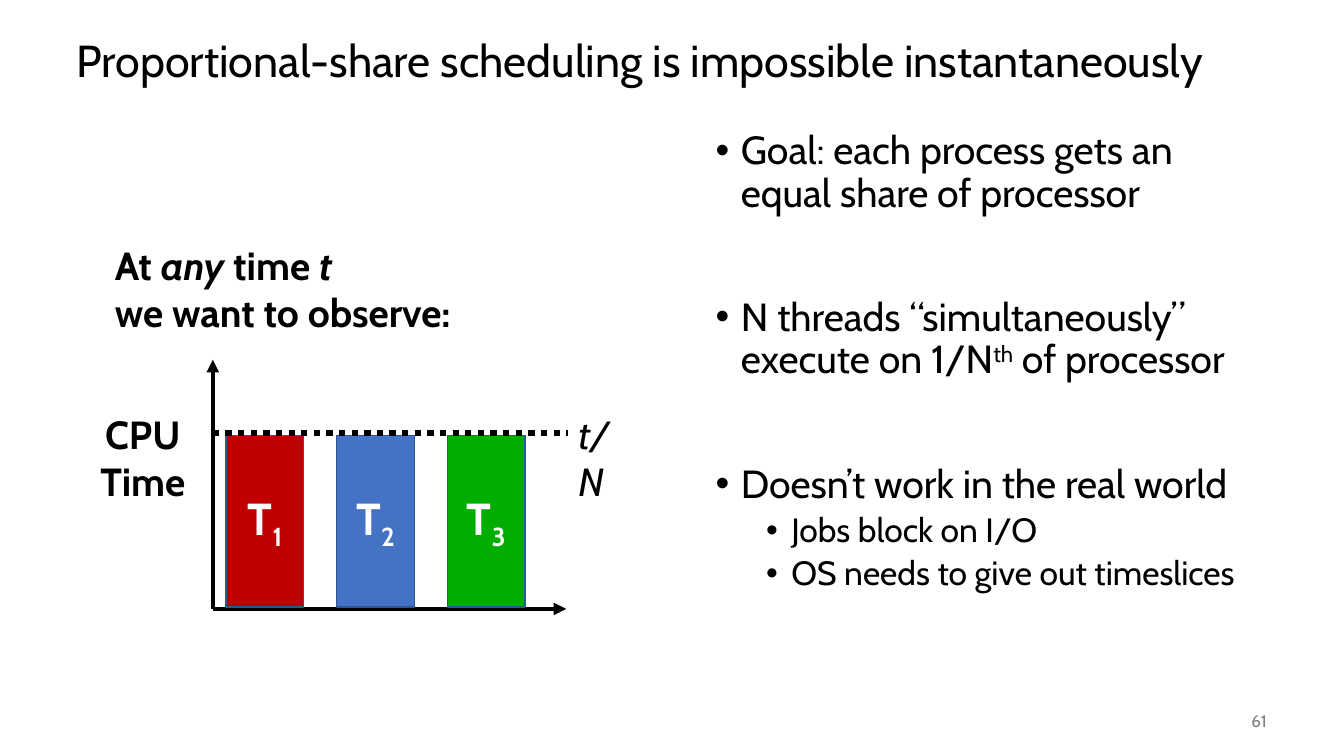
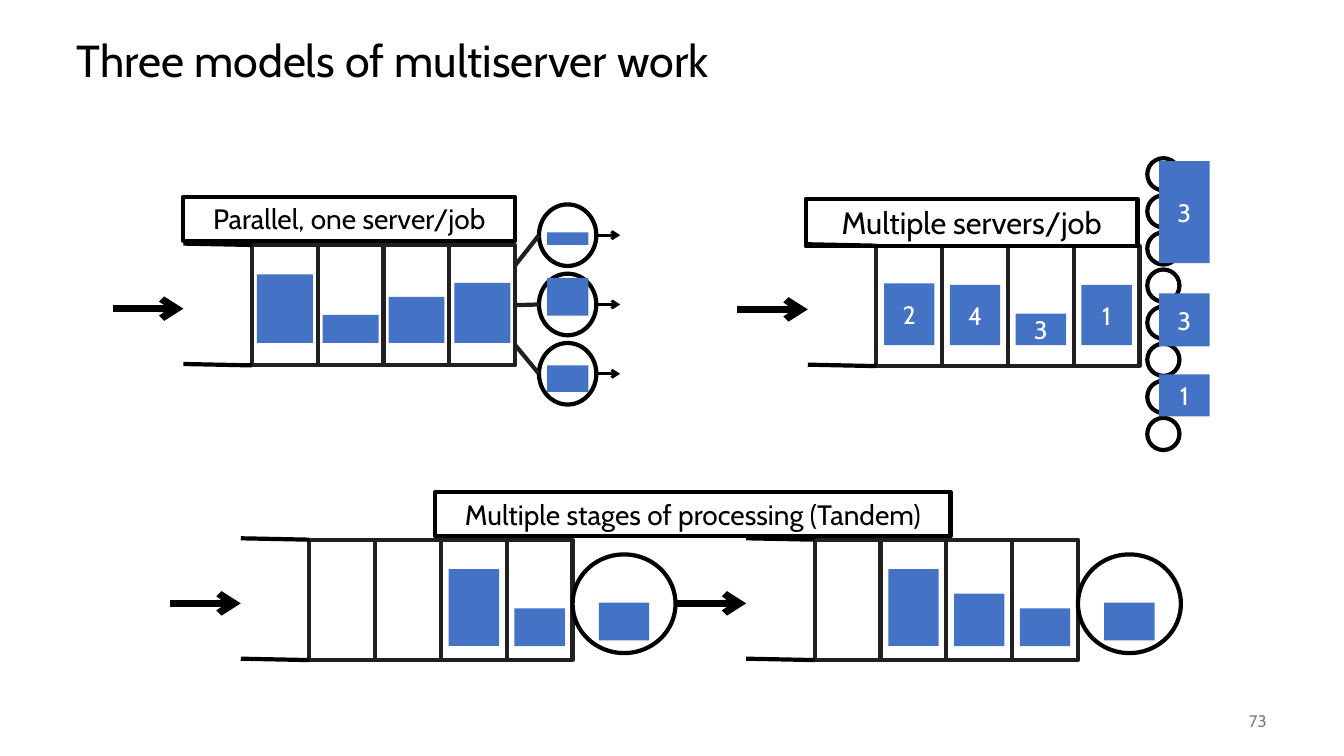
from lxml import etree
from pptx import Presentation
from pptx import util as u
from pptx.dml.color import RGBColor
from pptx.enum import dml, shapes, text
from pptx.oxml import ns

Pt = u.Pt
FONT = "Cabin"
BLACK, WHITE, GREY, CELL_EDGE = "000000", "FFFFFF", "808080", "202020"
BLUE, RED, GREEN, BAR_EDGE = "4472C4", "C00000", "00AE00", "325491"
RECTANGLE, OVAL = shapes.MSO_SHAPE.RECTANGLE, shapes.MSO_SHAPE.OVAL
ALIGN, ANCHOR = text.PP_ALIGN, text.MSO_ANCHOR

CELL_WIDTH, CELL_HEIGHT, CELL_COUNT = 47, 86, 4
MOUTH, CELLS = 50.5, 99.5
QUEUE_WIDTH = CELLS + CELL_COUNT * CELL_WIDTH


def color(hex_string):
    return RGBColor.from_string(hex_string)


def set_all(target, values):
    for name, value in values.items():
        setattr(target, name, value)


def box(left, top, width, height):
    return Pt(left), Pt(top), Pt(width), Pt(height)


def write(paragraph, runs, size, ink=BLACK, **values):
    """Add runs: a string, or pairs of text and format values that differ."""
    pairs = [(runs, {})] if isinstance(runs, str) else runs
    for words, changes in pairs:
        run = paragraph.add_run()
        run.text = words
        formats = {"name": FONT, "size": Pt(size), **values, **changes}
        baseline = formats.pop("baseline", None)
        set_all(run.font, formats)
        run.font.color.rgb = color(ink)
        if baseline:
            run.font._element.set("baseline", str(baseline * 1000))


def add_text(slide, place, lines, size, align=ALIGN.LEFT, anchor=ANCHOR.TOP, **values):
    frame = slide.shapes.add_textbox(*box(*place)).text_frame
    set_all(frame, {"word_wrap": True, "vertical_anchor": anchor})
    for index, runs in enumerate(lines):
        paragraph = frame.add_paragraph() if index else frame.paragraphs[0]
        paragraph.alignment = align
        write(paragraph, runs, size, **values)


def add_shape(slide, kind, place, fill=None, edge=None, weight=3,
              runs="", size=18, ink=WHITE, **values):
    shape = slide.shapes.add_shape(kind, *box(*place))
    shape.shadow.inherit = False
    if fill:
        shape.fill.solid()
        shape.fill.fore_color.rgb = color(fill)
    else:
        shape.fill.background()
    if edge:
        shape.line.color.rgb = color(edge)
        shape.line.width = Pt(weight)
    else:
        shape.line.fill.background()
    if runs:
        shape.text_frame.vertical_anchor = ANCHOR.MIDDLE
        paragraph = shape.text_frame.paragraphs[0]
        paragraph.alignment = ALIGN.CENTER
        write(paragraph, runs, size, ink, **values)
    return shape


def add_line(slide, start, end, weight=3, ink=BLACK, head=None, dash=None):
    line = slide.shapes.add_connector(
        shapes.MSO_CONNECTOR.STRAIGHT, *map(Pt, (*start, *end)))
    line.line.color.rgb = color(ink)
    line.line.width = Pt(weight)
    if dash:
        line.line.dash_style = dash
    if head:
        outline = line.line._get_or_add_ln()
        etree.SubElement(outline, ns.qn("a:tailEnd"), type=head)
    etree.SubElement(line._element.spPr, ns.qn("a:effectLst"))
    return line


def place_placeholder(placeholder, place, anchor):
    names = ("left", "top", "width", "height")
    set_all(placeholder, dict(zip(names, box(*place))))
    set_all(placeholder.text_frame, {
        "word_wrap": True, "auto_size": text.MSO_AUTO_SIZE.NONE,
        "vertical_anchor": anchor})
    return placeholder.text_frame


def start_slide(presentation, layout, title, number):
    slide = presentation.slides.add_slide(presentation.slide_layouts[layout])
    frame = place_placeholder(slide.shapes.title, (47.5, 18, 864, 54), ANCHOR.MIDDLE)
    paragraph = frame.paragraphs[0]
    set_all(paragraph, {"alignment": ALIGN.LEFT, "line_spacing": 0.9})
    write(paragraph, title, 32)
    add_text(slide, (840, 500.5, 72, 29), [number], 12,
             ALIGN.RIGHT, ANCHOR.MIDDLE, ink=GREY)
    return slide


def fill_list(placeholder, place, items):
    """Items hold level, space before and runs."""
    frame = place_placeholder(placeholder, place, ANCHOR.TOP)
    for index, (level, space, runs) in enumerate(items):
        paragraph = frame.add_paragraph() if index else frame.paragraphs[0]
        set_all(paragraph, {"level": level, "line_spacing": 0.9,
                            "space_before": Pt(space), "alignment": ALIGN.LEFT})
        properties = paragraph._p.get_or_add_pPr()
        properties.set("marL", str(Pt(18 + 36 * level)))
        properties.set("indent", str(Pt(-18)))
        etree.SubElement(properties, ns.qn("a:buFont"), typeface="Arial")
        etree.SubElement(properties, ns.qn("a:buChar"), char="•")
        write(paragraph, runs, 28 - 4 * level)


def share_chart(slide, left, top, width, height):
    """Hand-drawn axes with equal bars under a dotted limit."""
    floor = top + height
    limit = top + 52.5
    add_line(slide, (left, floor), (left + width, floor), head="triangle")
    add_line(slide, (left, floor), (left, top), head="triangle")
    add_text(slide, (left - 92, top + 32.5, 84, 75), ["CPU", "Time"], 28,
             ALIGN.CENTER, bold=True)
    for index, fill in enumerate((RED, BLUE, GREEN)):
        add_shape(slide, RECTANGLE,
                  (left + 9.5 + 79 * index, limit + 1.5, 55.5, 122.5),
                  fill, BAR_EDGE, 1, size=32, bold=True,
                  runs=[("T", {}), (str(index + 1), {"baseline": -25})])
    add_text(slide, (left + width + 1.5, top + 32.5, 48, 75), ["t/N"], 28, italic=True)
    add_line(slide, (left, limit), (left + width + 1.5, limit), 4.5,
             dash=dml.MSO_LINE.ROUND_DOT)


def add_job(slide, center, bottom, width, height, label=""):
    add_shape(slide, RECTANGLE, (center - width / 2, bottom - height, width, height),
              BLUE, runs=label)


def add_queue(slide, left, top, jobs, floor, job_width=36):
    """Jobs map a cell index to height and label; returns the last cell."""
    first = left + CELLS
    for index in range(CELL_COUNT):
        cell = add_shape(
            slide, RECTANGLE,
            (first + index * CELL_WIDTH, top, CELL_WIDTH, CELL_HEIGHT), WHITE, CELL_EDGE)
    for edge in (top, top + CELL_HEIGHT):
        add_line(slide, (left + MOUTH, edge - 1), (first, edge))
    middle = top + CELL_HEIGHT / 2 + 2.5
    add_line(slide, (left, middle), (left + MOUTH, middle), 5, head="arrow")
    for index, (height, label) in jobs.items():
        add_job(slide, first + (index + 0.5) * CELL_WIDTH, top + floor,
                job_width, height, label)
    return cell


def add_caption(slide, place, words, size=20):
    add_shape(slide, RECTANGLE, place, edge=BLACK, runs=words, size=size, ink=BLACK)


def parallel_model(slide, left, top):
    queue_top = top + 34.5
    jobs = {0: (49, ""), 1: (20, ""), 2: (33, ""), 3: (43, "")}
    last_cell = add_queue(slide, left, queue_top, jobs, 70, 40)
    queue_right = left + QUEUE_WIDTH
    server_left, server_width, server_height = queue_right + 17, 41, 44
    for index, (height, bottom) in enumerate(((9, 29), (27, 30), (19, 35))):
        server_top = top + 5.5 + 49.5 * index
        center = server_top + server_height / 2
        add_shape(slide, OVAL, (server_left, server_top, server_width, server_height),
                  WHITE, BLACK)
        add_job(slide, server_left + server_width / 2, server_top + bottom, 29.5, height)
        server_right = server_left + server_width
        add_line(slide, (server_right, center), (server_right + 17, center), 2, head="arrow")
        branch_top = queue_top + CELL_HEIGHT / 2 + 28.5 * (index - 1)
        branch = add_line(slide, (queue_right, branch_top), (server_left, center),
                          ink=CELL_EDGE)
        if index == 1:
            branch.begin_connect(last_cell, 3)
    add_caption(slide, (left + MOUTH, top, 237, 31.5), "Parallel, one server/job")


def multiple_servers_model(slide, left, top):
    for index in range(8):
        add_shape(slide, OVAL, (left + 293, top + 26.5 * index, 23, 23), WHITE, BLACK)
    jobs = {0: (44, "2"), 1: (43, "4"), 2: (22.5, "3"), 3: (43, "1")}
    add_queue(slide, left, top + 62.5, jobs, 71)
    for bottom, height, label in ((75, 73, "3"), (134.5, 38, "3"), (184.5, 30, "1")):
        add_job(slide, left + 319.5, top + bottom, 36, height, label)
    add_caption(slide, (left + 49, top + 29, 237, 34), "Multiple servers/job", 22)


def tandem_model(slide, left, top):
    server_width, server_height = 73.5, 70.5
    stages = ({2: (55, ""), 3: (27, "")}, {1: (55, ""), 2: (37.5, ""), 3: (27, "")})
    for index, jobs in enumerate(stages):
        stage_left = left + index * (QUEUE_WIDTH + server_width)
        add_queue(slide, stage_left, top + 34, jobs, 76)
        server_left = stage_left + QUEUE_WIDTH
        add_shape(slide, OVAL, (server_left, top + 44.5, server_width, server_height),
                  WHITE, BLACK)
        add_job(slide, server_left + server_width / 2, top + 106, 36, 27)
    add_caption(slide, (left + 189.5, top, 368, 31.5),
                "Multiple stages of processing (Tandem)")


def scheduling_slide(presentation):
    slide = start_slide(presentation, 1,
                        "Proportional-share scheduling is impossible instantaneously", "61")
    fill_list(slide.placeholders[1], (504, 90, 407.5, 396), [
        (0, 0, "Goal: each process gets an equal share of processor"),
        (0, 58.5, [("N threads “simultaneously” execute on 1/N", {}),
                   ("th", {"baseline": 30}), (" of processor", {})]),
        (0, 58.5, "Doesn’t work in the real world"),
        (1, 5, "Jobs block on I/O"),
        (1, 5, "OS needs to give out timeslices"),
    ])
    italic = {"italic": True}
    add_text(slide, (75, 168.5, 309, 75), [
        [("At ", {}), ("any", italic), (" time ", {}), ("t", italic)],
        "we want to observe:",
    ], 28, bold=True)
    share_chart(slide, 152, 257, 252.5, 178)


def multiserver_slide(presentation):
    slide = start_slide(presentation, 5, "Three models of multiserver work", "73")
    parallel_model(slide, 80.5, 140.5)
    multiple_servers_model(slide, 526.5, 113)
    tandem_model(slide, 121.5, 351.5)


def main():
    presentation = Presentation()
    set_all(presentation, {"slide_width": Pt(960), "slide_height": Pt(540)})
    scheduling_slide(presentation)
    multiserver_slide(presentation)
    presentation.save("out.pptx")


if __name__ == "__main__":
    main()
